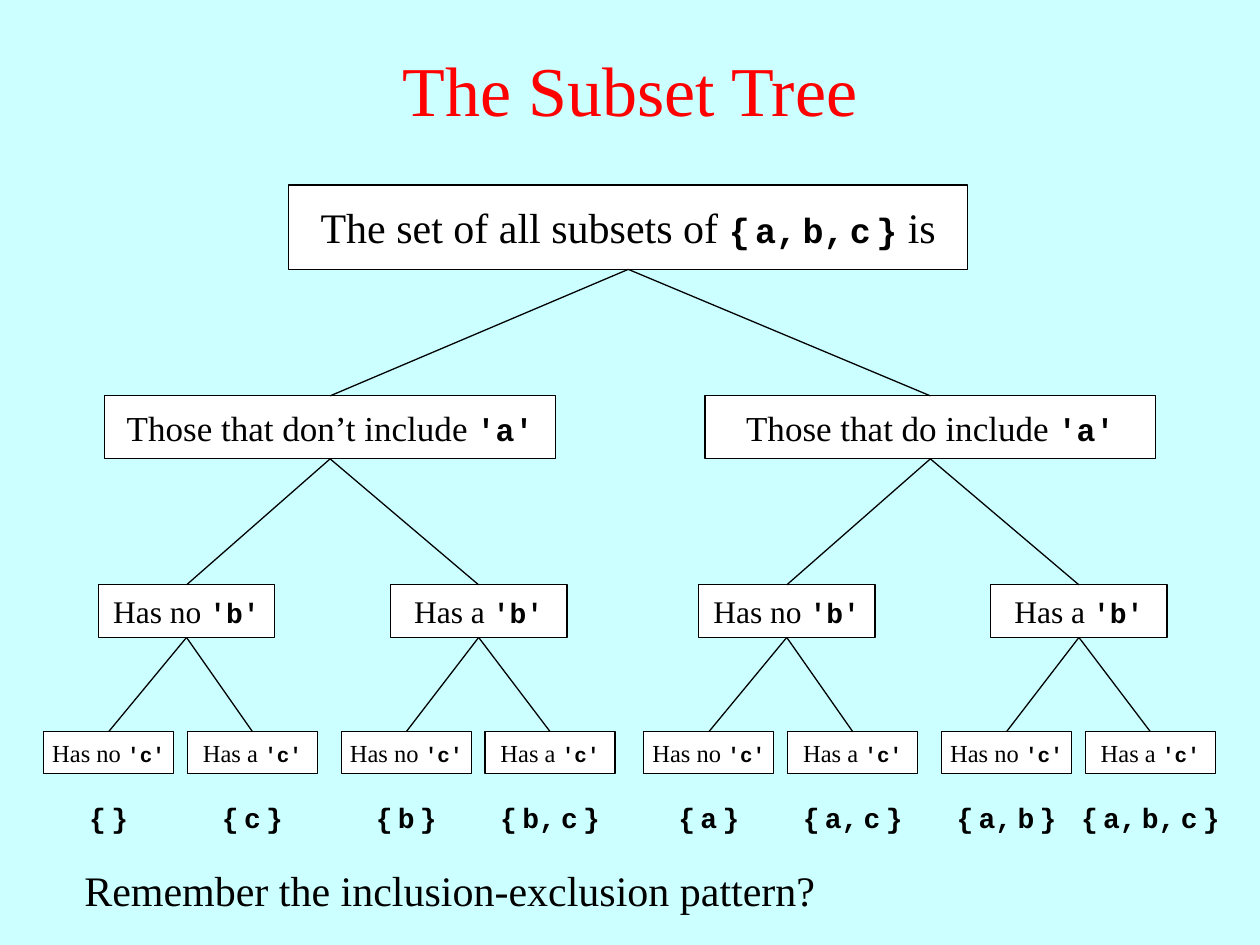
from lxml import etree
from pptx import Presentation
from pptx.dml.color import RGBColor
from pptx.enum.shapes import MSO_CONNECTOR, MSO_SHAPE
from pptx.enum.text import MSO_ANCHOR, PP_ALIGN
from pptx.oxml.ns import qn
from pptx.util import Cm, Pt

STRAIGHT = MSO_CONNECTOR.STRAIGHT
RECTANGLE = MSO_SHAPE.RECTANGLE
MIDDLE = MSO_ANCHOR.MIDDLE
CENTER = PP_ALIGN.CENTER
LEFT = PP_ALIGN.LEFT

BACKGROUND = RGBColor(0xCC, 0xFF, 0xFF)
RED = RGBColor(0xFF, 0x00, 0x00)
BLACK = RGBColor(0x00, 0x00, 0x00)
WHITE = RGBColor(0xFF, 0xFF, 0xFF)
SERIF = "Times New Roman"
MONO = "Courier New"
GAP_SIZE = 5
TOP_SITE, BOTTOM_SITE = 0, 2


def add_run(paragraph, text, size, name=SERIF, color=BLACK):
    run = paragraph.add_run()
    run.text = text
    run.font.color.rgb = color
    formats = {"name": name, "size": Pt(size), "bold": name == MONO}
    for attribute, value in formats.items():
        setattr(run.font, attribute, value)


def write_text(shape, pieces, alignment=CENTER):
    frame = shape.text_frame
    formats = {"word_wrap": True, "vertical_anchor": MIDDLE, "margin_left": 0,
               "margin_right": 0, "margin_top": 0, "margin_bottom": 0}
    for attribute, value in formats.items():
        setattr(frame, attribute, value)
    paragraph = frame.paragraphs[0]
    paragraph.alignment = alignment
    for text, size, name in pieces:
        if name == SERIF:
            add_run(paragraph, text, size)
            continue
        for index, part in enumerate(text.split(" ")):
            if index:
                add_run(paragraph, " ", GAP_SIZE, MONO)
            add_run(paragraph, part, size, MONO)


presentation = Presentation()
presentation.slide_width = Cm(25.4)
presentation.slide_height = Cm(19.05)
slide = presentation.slides.add_slide(presentation.slide_layouts[5])
slide.background.fill.solid()
slide.background.fill.fore_color.rgb = BACKGROUND

title = slide.shapes.title
title_place = {"left": Cm(0), "top": Cm(0.2), "width": Cm(25.4), "height": Cm(3.18)}
for attribute, value in title_place.items():
    setattr(title, attribute, value)
title.text_frame.vertical_anchor = MIDDLE
title_paragraph = title.text_frame.paragraphs[0]
title_paragraph.alignment = CENTER
add_run(title_paragraph, "The Subset Tree", 40, color=RED)

HALF = 12.1
levels = [
    {"lefts": [5.82], "top": 3.73, "width": 13.69, "height": 1.7,
     "labels": [[("The set of all subsets of ", 24, SERIF),
                 ("{ a, b, c }", 20, MONO), (" is", 24, SERIF)]]},
    {"lefts": [2.11, 2.11 + HALF], "top": 7.98, "width": 9.09, "height": 1.27,
     "labels": [[(words, 20, SERIF), ("'a'", 18, MONO)]
                for words in ("Those that don’t include ", "Those that do include ")]},
    {"lefts": [1.98 + HALF * half + 5.89 * side
               for half in range(2) for side in range(2)],
     "top": 11.79, "width": 3.56, "height": 1.06,
     "labels": [[(words, 18, SERIF), ("'b'", 16, MONO)]
                for words in ("Has no ", "Has a ")]},
    {"lefts": [0.88 + HALF * half + 6 * side + 2.9 * leaf
               for half in range(2) for side in range(2) for leaf in range(2)],
     "top": 14.75, "width": 2.62, "height": 0.84,
     "labels": [[(words, 14, SERIF), ("'c'", 12, MONO)]
                for words in ("Has no ", "Has a ")]},
]

parents = []
for level in levels:
    boxes = []
    for index, left in enumerate(level["lefts"]):
        box = slide.shapes.add_shape(RECTANGLE, Cm(left), Cm(level["top"]),
                                     Cm(level["width"]), Cm(level["height"]))
        box.shadow.inherit = False
        box.fill.solid()
        box.fill.fore_color.rgb = WHITE
        box.line.color.rgb = BLACK
        box.line.width = Pt(0.75)
        write_text(box, level["labels"][index % len(level["labels"])])
        boxes.append(box)
        if parents:
            branch = slide.shapes.add_connector(STRAIGHT, 0, 0, 0, 0)
            branch.begin_connect(box, TOP_SITE)
            branch.end_connect(parents[index // 2], BOTTOM_SITE)
            branch.line.color.rgb = BLACK
            branch.line.width = Pt(0.75)
            etree.SubElement(branch._element.spPr, qn("a:effectLst"))
    parents = boxes

subsets = ["{ }", "{ c }", "{ b }", "{ b, c }",
           "{ a }", "{ a, c }", "{ a, b }", "{ a, b, c }"]
for leaf, subset in zip(parents, subsets):
    width = Cm(3.6) if subset == subsets[-1] else Cm(2.7)
    left = leaf.left + (leaf.width - width) // 2
    caption = slide.shapes.add_textbox(left, Cm(16), width, Cm(0.94))
    write_text(caption, [(subset, 16, MONO)])

question = slide.shapes.add_textbox(Cm(1.7), Cm(17.3), Cm(15.1), Cm(1.27))
write_text(question, [("Remember the inclusion-exclusion pattern?", 24, SERIF)], LEFT)

presentation.save("out.pptx")
